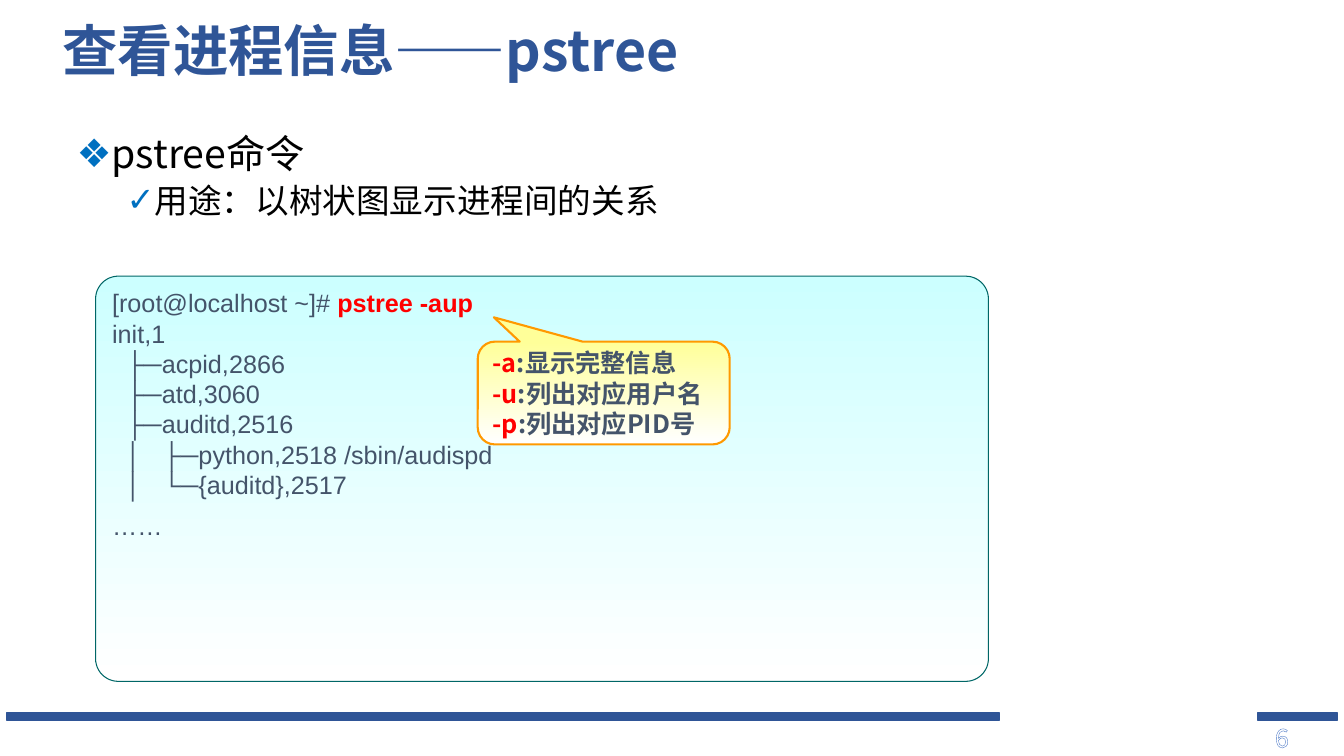
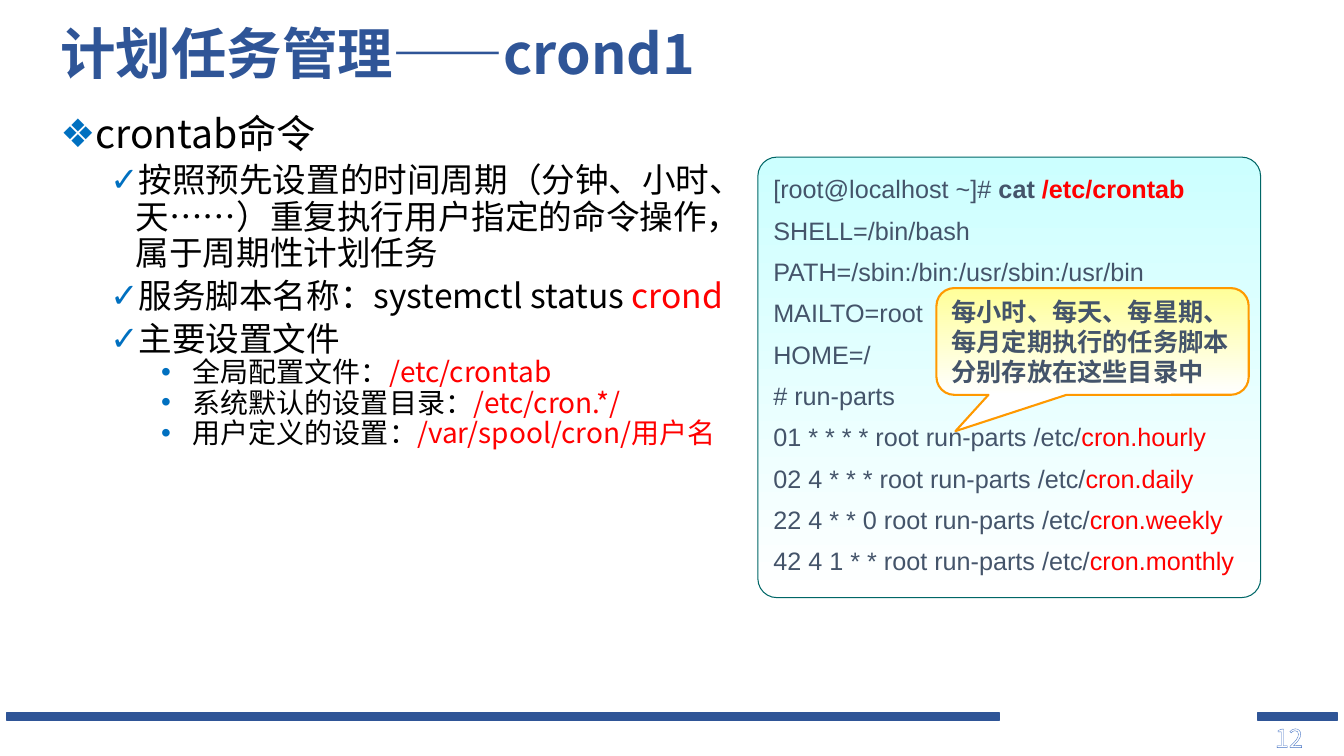
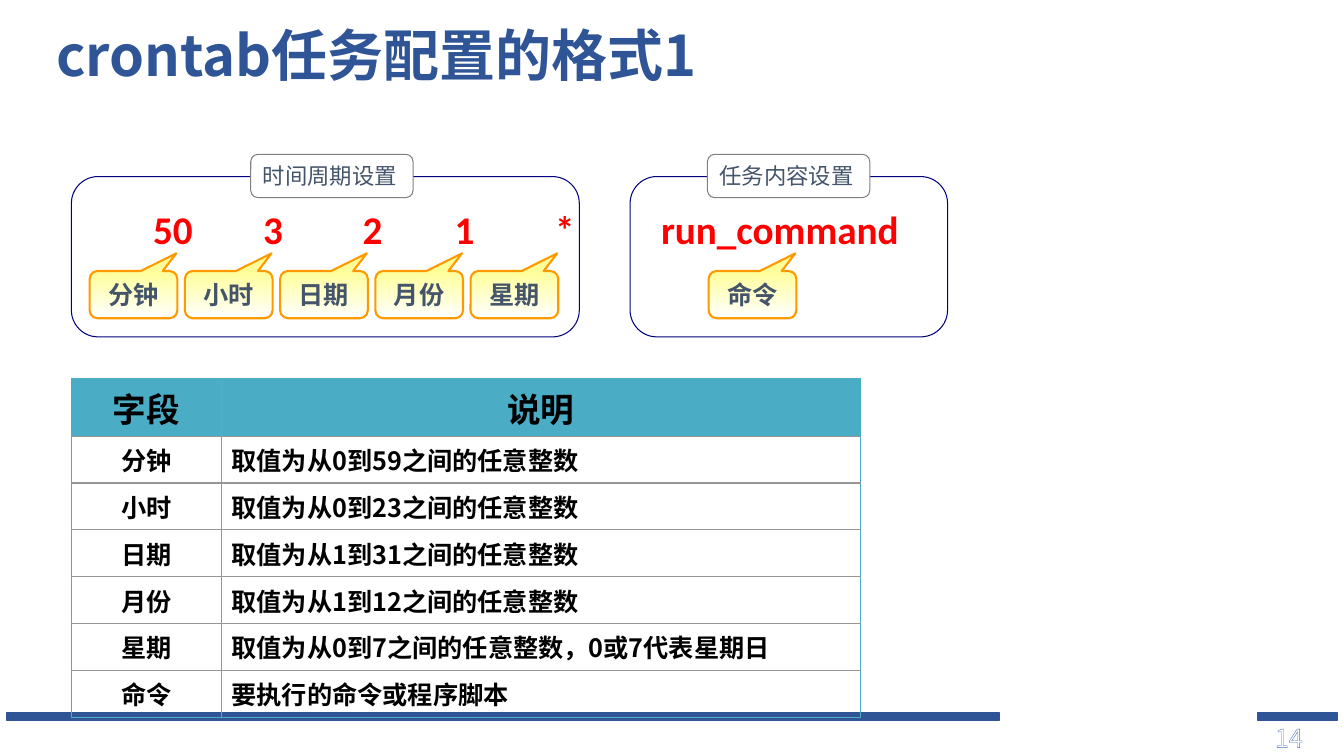
from lxml import etree
from pptx import Presentation
from pptx.dml.color import RGBColor
from pptx.enum.shapes import MSO_SHAPE
from pptx.enum.text import MSO_ANCHOR, PP_ALIGN
from pptx.oxml import parse_xml
from pptx.oxml.ns import nsdecls, qn
from pptx.util import Cm, Pt

# Shared look
BLUE = RGBColor(0x2F, 0x55, 0x97)
BULLET_BLUE = RGBColor(0x00, 0x70, 0xC0)
BLACK = RGBColor(0x00, 0x00, 0x00)
WHITE = RGBColor(0xFF, 0xFF, 0xFF)
RED = RGBColor(0xFF, 0x00, 0x00)
SLATE = RGBColor(0x44, 0x54, 0x6A)
AQUA = RGBColor(0xCC, 0xFF, 0xFF)
DARK_TEAL = RGBColor(0x00, 0x66, 0x66)
YELLOW = RGBColor(0xFF, 0xFF, 0x99)
ORANGE = RGBColor(0xFF, 0x99, 0x00)
NAVY = RGBColor(0x00, 0x00, 0x80)
GREY = RGBColor(0x80, 0x80, 0x80)
RULE_GREY = RGBColor(0x96, 0x96, 0x96)
TABLE_TEAL = RGBColor(0x4B, 0xAC, 0xC6)
SANS, CODE, SERIF, VALUES = "Noto Sans CJK SC", "Arial", "Times New Roman", "Calibri"

FOOTER_BANDS = [(0.18, 25), (31.7, 2)]  # left, width
# Bullet levels: character, left indent, size, space before
LEVELS = [("❖", 0.64, 28, 6.8), ("✓", 1.9, 24, 4.8), ("•", 3.18, 20, 0)]

# Content: a line is a list of runs, a run is (text, colour) or (text, colour, bold)
PROMPT = ("[root@localhost ~]# ", SLATE)

PSTREE_BODY = [
    (0, [("pstree命令", BLACK)]),
    (1, [("用途：以树状图显示进程间的关系", BLACK)]),
]
PSTREE_CODE = [[PROMPT, ("pstree -aup", RED, True)]] + [
    [(line, SLATE)] for line in (
        "init,1",
        "  ├─acpid,2866",
        "  ├─atd,3060",
        "  ├─auditd,2516",
        "  │   ├─python,2518 /sbin/audispd",
        "  │   └─{auditd},2517",
        "……",
    )]
PSTREE_OPTIONS = [
    [(option, RED, True), (meaning, SLATE, True)] for option, meaning in (
        ("-a", ":显示完整信息"), ("-u", ":列出对应用户名"), ("-p", ":列出对应PID号"))]

CROND_BODY = [
    (0, [("crontab命令", BLACK)]),
    (1, [("按照预先设置的时间周期（分钟、小时、天……）重复执行用户指定的命令操作，"
          "属于周期性计划任务", BLACK)]),
    (1, [("服务脚本名称：systemctl status ", BLACK), ("crond", RED)]),
    (1, [("主要设置文件", BLACK)]),
    (2, [(" 全局配置文件：", BLACK), ("/etc/crontab", RED)]),
    (2, [(" 系统默认的设置目录：", BLACK), ("/etc/cron.*/", RED)]),
    (2, [(" 用户定义的设置：", BLACK), ("/var/spool/cron/用户名", RED)]),
]
CROND_CODE = [[PROMPT, ("cat ", SLATE, True), ("/etc/crontab", RED, True)]] + [
    [(line, SLATE)] for line in (
        "SHELL=/bin/bash",
        "PATH=/sbin:/bin:/usr/sbin:/usr/bin",
        "MAILTO=root",
        "HOME=/",
        "# run-parts",
    )] + [
    [(f"{when} root run-parts /etc/", SLATE), (folder, RED)] for when, folder in (
        ("01 * * * *", "cron.hourly"),
        ("02 4 * * *", "cron.daily"),
        ("22 4 * * 0", "cron.weekly"),
        ("42 4 1 * *", "cron.monthly"),
    )]
CROND_NOTE = [[("每小时、每天、每星期、每月定期执行的任务脚本分别存放在这些目录中", SLATE, True)]]

FIELD_VALUES = ["50", "3", "2", "1", "*", "run_command"]
VALUE_TABS = [2.77, 5.28, 7.6, 10.13, 12.8]
FIELDS = [
    ("分钟", "取值为从0到59之间的任意整数"),
    ("小时", "取值为从0到23之间的任意整数"),
    ("日期", "取值为从1到31之间的任意整数"),
    ("月份", "取值为从1到12之间的任意整数"),
    ("星期", "取值为从0到7之间的任意整数，0或7代表星期日"),
    ("命令", "要执行的命令或程序脚本"),
]
TIME_TAG_LEFT, TAG_STEP, COMMAND_TAG_LEFT = 2.26, 2.4, 17.86
# Label, frame left, frame width, label left
GROUPS = [("时间周期设置", 1.8, 12.8, 6.32), ("任务内容设置", 15.88, 8, 17.83)]


# Text helpers
def add_run(paragraph, text, size, colour, bold=False, font=SANS):
    run = paragraph.add_run()
    run.text = text
    run.font.size, run.font.bold, run.font.name = Pt(size), bold, font
    run.font.color.rgb = colour
    east_asian = etree.SubElement(run.font._element, qn("a:ea"))
    east_asian.set("typeface", CODE if font == CODE else SANS)
    return run


def next_paragraph(frame, index):
    return frame.add_paragraph() if index else frame.paragraphs[0]


def fill_lines(frame, lines, size=18, font=SANS, align=PP_ALIGN.LEFT):
    for index, line in enumerate(lines):
        paragraph = next_paragraph(frame, index)
        paragraph.alignment = align
        for text, colour, *bold in line:
            add_run(paragraph, text, size, colour, bool(bold), font)


def add_text_area(slide, left, top, width, height):
    frame = slide.shapes.add_textbox(Cm(left), Cm(top), Cm(width), Cm(height)).text_frame
    frame.word_wrap = True
    return frame


# Shape helpers
def add_panel(slide, kind, box, line, line_width, fill=None, fade_from=None, adjust=()):
    panel = slide.shapes.add_shape(kind, *map(Cm, box))
    panel.shadow.inherit = False
    for index, value in enumerate(adjust):
        panel.adjustments[index] = value
    if fade_from is not None:
        panel.fill.gradient()
        panel.fill.gradient_angle = 270
        for stop, colour, position in zip(panel.fill.gradient_stops, (fade_from, WHITE), (0, 1)):
            stop.color.rgb, stop.position = colour, position
    elif fill is not None:
        panel.fill.solid()
        panel.fill.fore_color.rgb = fill
    else:
        panel.fill.background()
    panel.line.color.rgb, panel.line.width = line, Pt(line_width)
    panel.text_frame.word_wrap = True
    return panel


def add_code(slide, box, lines, corner):
    frame = add_panel(slide, MSO_SHAPE.ROUNDED_RECTANGLE, box, DARK_TEAL, 0.75,
                      fade_from=AQUA, adjust=[corner]).text_frame
    frame.vertical_anchor = MSO_ANCHOR.TOP
    fill_lines(frame, lines, font=CODE)
    return frame.paragraphs


def space_out(paragraphs, first):
    for index, paragraph in enumerate(paragraphs):
        paragraph.line_spacing = 1.2
        if index or not first:
            paragraph.space_before = Pt(3.6)


def add_callout(slide, box, lines, pointer, align=PP_ALIGN.LEFT):
    frame = add_panel(slide, MSO_SHAPE.ROUNDED_RECTANGULAR_CALLOUT, box, ORANGE, 1.5,
                      fade_from=YELLOW, adjust=[*pointer, 0.167]).text_frame
    frame.vertical_anchor = MSO_ANCHOR.MIDDLE
    fill_lines(frame, lines, align=align)


# Slide frame: bands, page number, title
def add_page(deck, number, title, left, top, size=39.6):
    slide = deck.slides.add_slide(deck.slide_layouts[6])
    for band_left, width in FOOTER_BANDS:
        add_panel(slide, MSO_SHAPE.RECTANGLE, (band_left, 17.96, width, 0.2), BLUE, 1, fill=BLUE)

    page = add_text_area(slide, 31.88, 18.08, 1.83, 1.02).paragraphs[0]
    digits = add_run(page, number, 18, WHITE).font._element
    digits.remove(digits.find(qn("a:solidFill")))
    digits.insert(0, parse_xml(
        f'<a:ln {nsdecls("a")} w="12700"><a:solidFill><a:srgbClr val="4472C4"/></a:solidFill></a:ln>'))
    digits.insert(1, parse_xml(
        f'<a:pattFill {nsdecls("a")} prst="ltDnDiag"><a:fgClr><a:srgbClr val="8FAADC"/></a:fgClr>'
        '<a:bgClr><a:srgbClr val="FFFFFF"/></a:bgClr></a:pattFill>'))

    heading = add_text_area(slide, left, top, 24.33, 1.78)
    heading.vertical_anchor = MSO_ANCHOR.MIDDLE
    heading.paragraphs[0].line_spacing = 0.9
    add_run(heading.paragraphs[0], title, size, BLUE, True)
    return slide


def add_body(slide, box, items):
    frame = add_text_area(slide, *box)
    for index, (level, runs) in enumerate(items):
        mark, indent, size, before = LEVELS[level]
        paragraph = next_paragraph(frame, index)
        paragraph.level, paragraph.line_spacing = level, 0.9
        if index:
            paragraph.space_before = Pt(before)
        properties = paragraph._p.get_or_add_pPr()
        properties.set("marL", str(Cm(indent)))
        properties.set("indent", str(-Cm(0.64)))
        colour = etree.SubElement(properties, qn("a:buClr"))
        etree.SubElement(colour, qn("a:srgbClr")).set("val", str(BULLET_BLUE))
        etree.SubElement(properties, qn("a:buFont")).set("typeface", CODE)
        etree.SubElement(properties, qn("a:buChar")).set("char", mark)
        for text, run_colour in runs:
            add_run(paragraph, text, size, run_colour)


def add_field_table(slide):
    rows = [("字段", "说明")] + FIELDS
    table_frame = slide.shapes.add_table(len(rows), 2, Cm(1.8), Cm(9.53), Cm(19.88), Cm(8.54))
    table = table_frame.table
    for column, width in zip(table.columns, (3.78, 16.1)):
        column.width = Cm(width)
    for r, texts in enumerate(rows):
        header = r == 0
        table.rows[r].height = Cm(1.46 if header else 1.18)
        for c, text in enumerate(texts):
            cell = table.cell(r, c)
            cell.vertical_anchor = MSO_ANCHOR.MIDDLE
            align = PP_ALIGN.CENTER if header or c == 0 else PP_ALIGN.LEFT
            fill_lines(cell.text_frame, [[(text, BLACK, True)]], 24 if header else 18, align=align)
            outer = {"a:lnL": c == 0, "a:lnR": c == 1, "a:lnT": header, "a:lnB": r == len(rows) - 1}
            for tag, is_outer in outer.items():
                edge = etree.SubElement(cell._tc.get_or_add_tcPr(), qn(tag), w="12700")
                solid = etree.SubElement(edge, qn("a:solidFill"))
                etree.SubElement(solid, qn("a:srgbClr")).set(
                    "val", str(TABLE_TEAL if is_outer else RULE_GREY))
            if header:
                cell.fill.solid()
                cell.fill.fore_color.rgb = TABLE_TEAL
            else:
                cell.fill.background()


def build_pstree(deck):
    slide = add_page(deck, "6", "查看进程信息——pstree", 1.32, 0.46)
    add_body(slide, (1.68, 3.28, 23.62, 14.27), PSTREE_BODY)
    lines = add_code(slide, (2.41, 6.96, 22.5, 10.21), PSTREE_CODE, 0.056)
    space_out(lines[-1:], first=False)
    add_callout(slide, (12.04, 8.61, 6.35, 2.59), PSTREE_OPTIONS, (-0.436, -0.737))


def build_crond(deck):
    slide = add_page(deck, "12", "计划任务管理——crond1", 1.27, 0.53)
    add_body(slide, (1.27, 2.77, 17.86, 14.27), CROND_BODY)
    space_out(add_code(slide, (19.1, 3.96, 12.67, 11.1), CROND_CODE, 0.043), first=True)
    add_callout(slide, (23.6, 7.26, 7.87, 2.69), CROND_NOTE, (-0.439, 0.84))


def build_format(deck):
    slide = add_page(deck, "14", "crontab任务配置的格式1", 1.17, 0.58, size=40)

    # Sample entry, one tab stop per field
    entry = add_text_area(slide, 3.61, 5.05, 20.68, 1.5).paragraphs[0]
    tabs = etree.SubElement(entry._p.get_or_add_pPr(), qn("a:tabLst"))
    for position in VALUE_TABS:
        etree.SubElement(tabs, qn("a:tab"), pos=str(Cm(position)), algn="l")
    add_run(entry, "\t".join(FIELD_VALUES), 28, RED, True, VALUES)

    add_field_table(slide)

    # Field tags under the values
    for index, (field, _) in enumerate(FIELDS):
        is_command = index == len(FIELDS) - 1
        left = COMMAND_TAG_LEFT if is_command else TIME_TAG_LEFT + index * TAG_STEP
        add_callout(slide, (left, 6.83, 2.21, 1.19), [[(field, SLATE, True)]],
                    (0.488, -0.874), PP_ALIGN.CENTER)

    # Group frames with their labels
    for label, left, width, label_left in GROUPS:
        add_panel(slide, MSO_SHAPE.ROUNDED_RECTANGLE, (left, 4.45, width, 4.04), NAVY, 0.75,
                  adjust=[0.167])
        frame = add_panel(slide, MSO_SHAPE.FLOWCHART_ALTERNATE_PROCESS,
                          (label_left, 3.89, 4.09, 1.09), GREY, 0.75, fill=WHITE).text_frame
        frame.vertical_anchor = MSO_ANCHOR.MIDDLE
        fill_lines(frame, [[(label, SLATE)]], 16, SERIF)


def main():
    deck = Presentation()
    deck.slide_width, deck.slide_height = Cm(33.87), Cm(19.05)
    for build in (build_pstree, build_crond, build_format):
        build(deck)
    deck.save("out.pptx")


if __name__ == "__main__":
    main()
